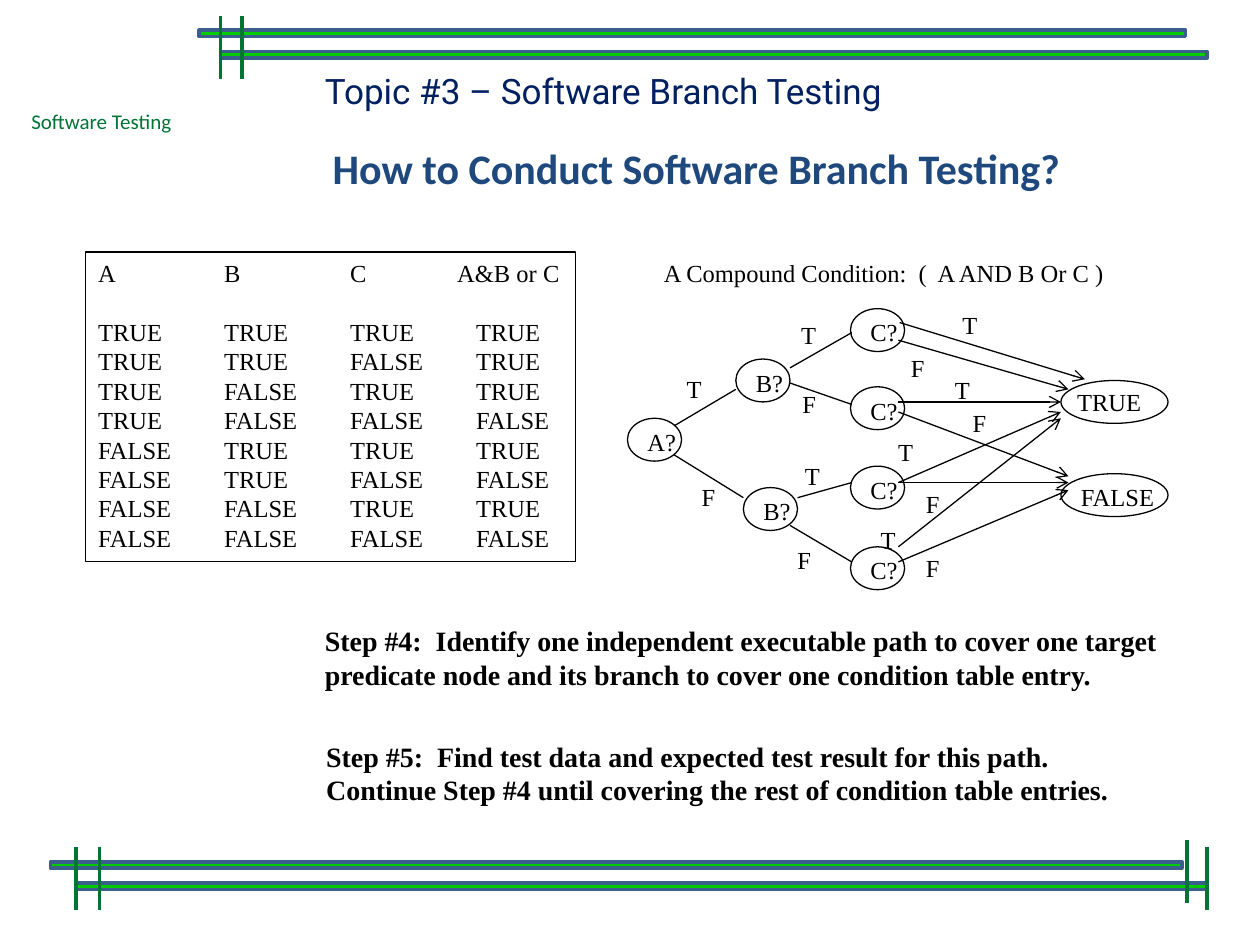
"""Build the slide on conducting software branch testing."""
from lxml import etree
from pptx import Presentation
from pptx import util as u
from pptx.dml.color import RGBColor
from pptx.enum import shapes as kinds, text as txt
from pptx.oxml.ns import qn

WIDTH, HEIGHT = u.Inches(10), u.Inches(7.5)
COLUMN, ROW = WIDTH / 100, HEIGHT / 75
SERIF = "Times New Roman"
COLORS = {"ink": "000000", "paper": "FFFFFF", "bar": "00CC00", "bar edge": "3A5F8C",
          "green": "007434", "topic": "002060", "heading": "1F497D"}

TRUTH_ROWS = [
    "TRUE TRUE TRUE TRUE", "TRUE TRUE FALSE TRUE", "TRUE FALSE TRUE TRUE",
    "TRUE FALSE FALSE FALSE", "FALSE TRUE TRUE TRUE", "FALSE TRUE FALSE FALSE",
    "FALSE FALSE TRUE TRUE", "FALSE FALSE FALSE FALSE"]
PREDICATES = [("A?", 0, 13.2), ("B?", 8.6, 8.5), ("B?", 9.2, 18.7), ("C?", 17.7, 4.5),
              ("C?", 17.7, 10.7), ("C?", 17.7, 17), ("C?", 17.7, 23.4)]
OUTCOMES = [("TRUE", 10.2, 0.3, 0), ("FALSE", 17.6, 0.6, 0.2)]
BRANCHES = [(3.7, 13.8, 8.6, 10.9), (3.7, 16.1, 9.2, 19.5), (12.9, 21.7, 17.8, 24.6),
            (13.5, 19.5, 17.8, 18.3), (12.9, 10.4, 17.8, 12.1), (12.9, 9.2, 17.8, 6.4)]
RESULTS = [(21.6, 5.6, 36.3, 10.1), (21.5, 11.9, 34.4, 11.9), (21.5, 18.3, 35, 18.3),
           (21.5, 24.6, 35, 18.9), (21.5, 12.7, 35, 17.8), (21.5, 18.3, 34.4, 12.7),
           (21.5, 23.4, 34.4, 13.2), (21.5, 7, 35, 10.9)]
BRANCH_LABELS = {
    "T": [(3.7, 9.2), (25.6, 4.1), (12.8, 4.9), (13.1, 16.1), (20.5, 14.2), (25, 9.3), (19.1, 21.2)],
    "F": [(4.9, 17.8), (22.7, 23.4), (21.5, 7.5), (12.5, 22.8), (22.7, 18.3), (12.9, 10.4),
          (26.4, 11.9)]}


def rgb(name):
    """Return a named colour."""
    return RGBColor.from_string(COLORS[name])


def place(left, top, width, height):
    """Turn grid columns and rows into slide lengths."""
    return [round(n * unit) for n, unit in zip((left, top, width, height), (COLUMN, ROW) * 2)]


def add_figure(parts, kind, box, line=None, fill=None, weight=0.75):
    """Draw a preset shape with the given outline and fill."""
    figure = parts.add_shape(kind, *place(*box))
    figure.shadow.inherit = False
    for paint, color in ((figure.fill, fill), (figure.line.fill, line)):
        if color:
            paint.solid()
            paint.fore_color.rgb = rgb(color)
        else:
            paint.background()
    if line:
        figure.line.width = u.Pt(weight)
    return figure


def add_line(parts, start, end, color="ink", weight=0.75, arrow=False):
    """Draw a straight line, with an arrowhead at its end if asked."""
    line = parts.add_connector(kinds.MSO_CONNECTOR.STRAIGHT, *place(*start, *end))
    line.line.color.rgb = rgb(color)
    line.line.width = u.Pt(weight)
    properties = line.line._get_or_add_ln()
    if arrow:
        etree.SubElement(properties, qn("a:tailEnd"), type="arrow")
    etree.SubElement(properties.getparent(), qn("a:effectLst"))


def write(holder, lines, size=14, font=SERIF, color="ink", bold=False, wrap=False,
          anchor=txt.MSO_ANCHOR.TOP):
    """Write left-aligned paragraphs into a shape or text box."""
    frame = holder.text_frame
    frame.text = "\n".join(lines)
    frame.word_wrap = wrap
    frame.vertical_anchor = anchor
    for paragraph in frame.paragraphs:
        paragraph.alignment = txt.PP_ALIGN.LEFT
        paragraph.font.size = u.Pt(size)
        paragraph.font.name = font
        paragraph.font.bold = bold
        paragraph.font.color.rgb = rgb(color)
    return frame


def add_label(parts, box, words, **style):
    """Add a text box that grows to hold one line of words."""
    frame = write(parts.add_textbox(*place(*box)), [words], **style)
    frame.auto_size = txt.MSO_AUTO_SIZE.SHAPE_TO_FIT_TEXT


def add_rules(parts, box, step, posts):
    """Draw two staggered bars and the posts that cross them."""
    left, top, width = box
    for shift, drop in ((0, 0), (step, 1.7)):
        add_figure(parts, kinds.MSO_SHAPE.FLOWCHART_PROCESS,
                   (left + shift, top + drop, width, 0.5), "bar edge", "bar", 2)
    for x, y in posts:
        add_line(parts, (left + x, top + y), (left + x, top + y + 5), "green", 2.25)


def add_header(parts, box):
    """Place the course name, topic and slide heading."""
    left, top, width = box
    add_label(parts, (left, top + 3.1, 13.3, 3), "Software Testing",
              size=12, font="Calibri", color="green")
    topic = add_figure(parts, kinds.MSO_SHAPE.RECTANGLE, (left + 23.3, top, 54, 4.4), fill="paper")
    write(topic, ["Topic #3 – Software Branch Testing"], 20, "Roboto", "topic")
    heading = add_figure(parts, kinds.MSO_SHAPE.RECTANGLE,
                         (left + 23.3, top + 5.8, width - 23.3, 5.5), fill="paper")
    frame = write(heading, ["How to Conduct Software Branch Testing?"], 24, "Calibri",
                  "heading", True, True, txt.MSO_ANCHOR.MIDDLE)
    frame.margin_left = frame.margin_right = frame.margin_top = frame.margin_bottom = u.Inches(0.16)
    frame.paragraphs[0].line_spacing = 0.9


def add_truth_table(parts, box):
    """List every condition entry in tabbed columns inside a frame."""
    lines = ["A\tB\tC\tA&B or C"] + [row.replace(" ", "\t") for row in TRUTH_ROWS]
    frame = write(add_figure(parts, kinds.MSO_SHAPE.RECTANGLE, box, "ink"), lines, wrap=True)
    for number, paragraph in enumerate(frame.paragraphs):
        properties = paragraph._p.get_or_add_pPr()
        tabs = etree.Element(qn("a:tabLst"))
        for column in (10, 20, 30 if number else 28.5):
            etree.SubElement(tabs, qn("a:tab"), pos=str(round(column * COLUMN)), algn="l")
        properties.find(qn("a:defRPr")).addprevious(tabs)
    frame.paragraphs[1].space_before = u.Pt(16.8)


def add_decision_tree(parts, box):
    """Draw the predicate nodes, their branches and the two outcomes."""
    left, top, node_width, node_height = box
    add_label(parts, (left + 1.9, top, 38.3, 3.4), "A Compound Condition:  (  A AND B Or C )", wrap=True)
    nodes = [(name, x, y, node_width, 0.6, 0.2, 4.4) for name, x, y in PREDICATES]
    nodes += [(name, 34.4, y, 8.5, dx, dy, 7.9) for name, y, dx, dy in OUTCOMES]
    for name, x, y, width, dx, dy, label_width in nodes:
        x, y = left + x, top + y
        add_figure(parts, kinds.MSO_SHAPE.OVAL, (x, y, width, node_height), "ink")
        add_label(parts, (x + dx, y + dy, label_width, node_height), name)
    for edges, arrow in ((BRANCHES, False), (RESULTS, True)):
        for x1, y1, x2, y2 in edges:
            add_line(parts, (left + x1, top + y1), (left + x2, top + y2), arrow=arrow)
    for letter, spots in BRANCH_LABELS.items():
        for x, y in spots:
            add_label(parts, (left + x, top + y, 3.2, 3.4), letter)


def add_step(parts, box, lines):
    """Write one bold instruction."""
    write(parts.add_textbox(*place(*box)), lines, 16, bold=True, wrap=True,
          anchor=txt.MSO_ANCHOR.MIDDLE)


def main():
    """Assemble and save the slide."""
    deck = Presentation()
    deck.slide_width, deck.slide_height = WIDTH, HEIGHT
    parts = deck.slides.add_slide(deck.slide_layouts[6]).shapes
    add_rules(parts.add_group_shape().shapes, (15.8, 2.4, 78.3), 1.7, [(1.7, -1.1), (3.4, -1.1)])
    add_rules(parts, (4, 68.4, 89.8), 2, [(2, -1.2), (3.9, -1.2), (91.8, -1.2), (90.2, -1.7)])
    add_header(parts, (1.5, 5, 85))
    add_step(parts, (24.8, 48, 69.4, 8.3), [
        "Step #4:  Identify one independent executable path to cover one target "
        "predicate node and its branch to cover one condition table entry."])
    add_step(parts, (24.9, 58.3, 65.8, 6.1), [
        "Step #5:  Find test data and expected test result for this path.",
        "Continue Step #4 until covering the rest of condition table entries."])
    add_decision_tree(parts.add_group_shape().shapes, (49.8, 20, 4.3, 3.4))
    add_truth_table(parts, (6.8, 20, 38.9, 24.6))
    deck.save("out.pptx")


if __name__ == "__main__":
    main()
